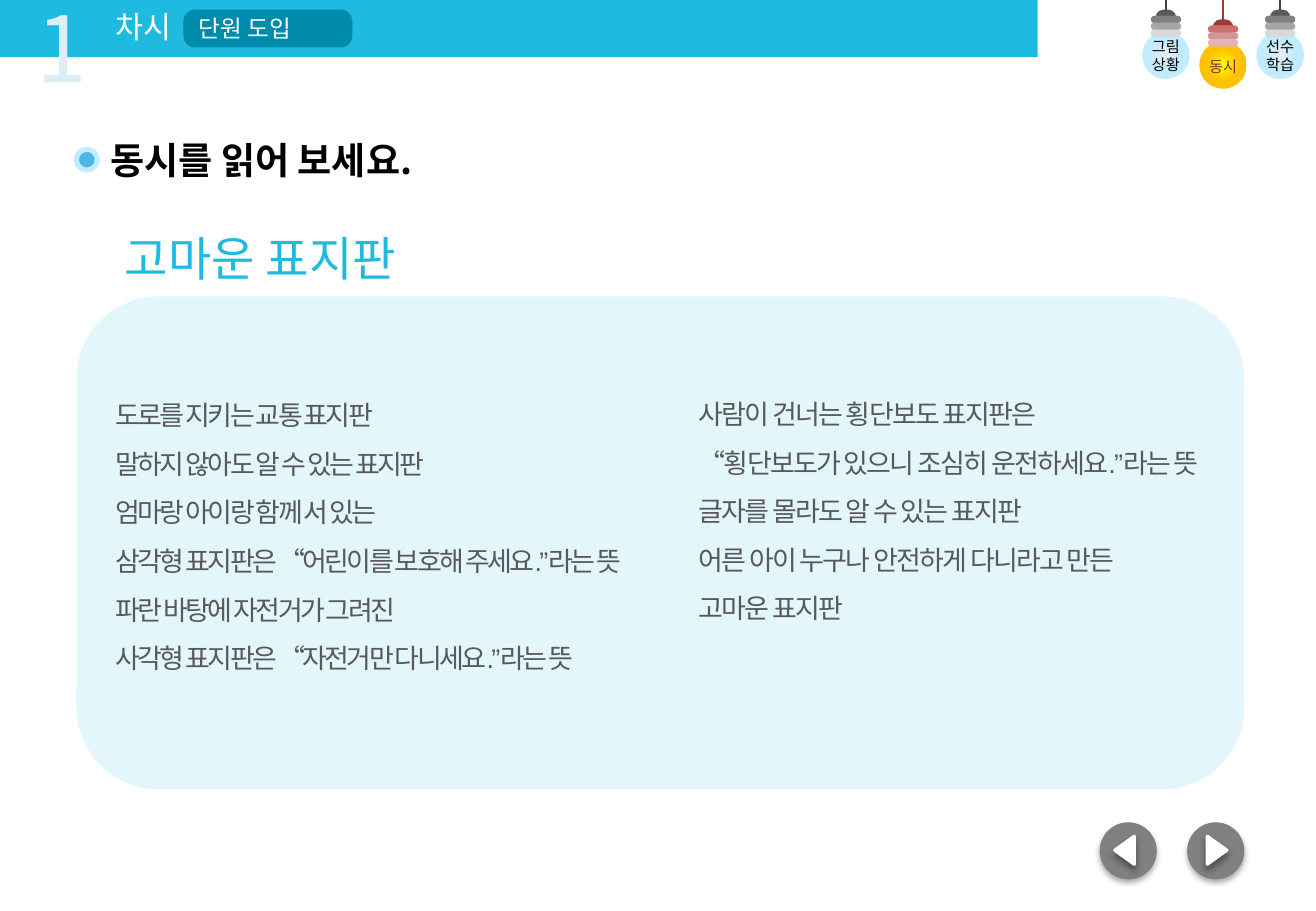
from lxml import etree
from pptx import Presentation
from pptx.dml.color import RGBColor
from pptx.enum import shapes, text
from pptx.oxml import ns
from pptx.util import Inches, Pt

KOREAN = "Noto Sans CJK KR"
SHAPE = shapes.MSO_SHAPE
ALIGN = text.PP_ALIGN
ANCHOR = text.MSO_ANCHOR

COLORS = {
    "sky": "1FBADF", "teal": "008BAD", "pale": "DBEEF4", "panel": "74D5EC",
    "dot": "4CB6E6", "ring": "C1EBFF", "white": "FFFFFF", "black": "000000",
    "gray": "808080", "poem": "595959",
}
OFF_BULB = {"cord": "404040", "cap": "595959", "bands": ["808080", "A6A6A6", "D9D9D9"],
            "glow": ["E9EFF7", "C1EBFF"], "label": "000000"}
LIT_BULB = {"cord": "9D3939", "cap": "9D3939", "bands": ["CB6F6F", "D89494", "E3B3B3"],
            "glow": ["FFFF00", "FFC000"], "label": "7B2D2D"}

POEM_LEFT = [
    "도로를 지키는 교통 표지판",
    "말하지 않아도 알 수 있는 표지판",
    "엄마랑 아이랑 함께 서 있는",
    "삼각형 표지판은 “어린이를 보호해 주세요.”라는 뜻",
    "파란 바탕에 자전거가 그려진",
    "사각형 표지판은 “자전거만 다니세요.”라는 뜻",
]
POEM_RIGHT = [
    "사람이 건너는 횡단보도 표지판은",
    "“횡단보도가 있으니 조심히 운전하세요.”라는 뜻",
    "글자를 몰라도 알 수 있는 표지판",
    "어른 아이 누구나 안전하게 다니라고 만든",
    "고마운 표지판",
]


def rgb(value):
    return RGBColor.from_string(COLORS.get(value, value))


def add_node(parent, tag, **attributes):
    return etree.SubElement(parent, ns.qn(tag), attributes)


def place(shape, left, top, width, height):
    shape.left, shape.top = Inches(left), Inches(top)
    shape.width, shape.height = Inches(width), Inches(height)


def write(shape, lines, size, color, font=KOREAN, bold=False, align=ALIGN.LEFT,
          anchor=ANCHOR.TOP, wrap=True, spacing=1.0, tracking=0):
    """Fill a shape with unbulleted paragraphs that share one format."""
    frame = shape.text_frame
    frame.text = "\n".join(lines)
    frame.word_wrap = wrap
    frame.auto_size = text.MSO_AUTO_SIZE.NONE
    frame.vertical_anchor = anchor
    for para in frame.paragraphs:
        properties = para._p.get_or_add_pPr()
        properties.set("marL", "0")
        properties.set("indent", "0")
        add_node(properties, "a:buNone")
        para.alignment = align
        para.line_spacing = spacing
        para.space_before = Pt(0)
        para.font.size = Pt(size)
        para.font.bold = bold
        para.font.name = font
        para.font.color.rgb = rgb(color)
        character = properties.find(ns.qn("a:defRPr"))
        add_node(character, "a:ea", typeface=KOREAN)
        if tracking:
            character.set("spc", str(int(tracking * 100)))


def add_label(page, box, lines, size, color, **style):
    label = page.shapes.add_textbox(0, 0, 0, 0)
    place(label, *box)
    write(label, lines, size, color, **style)


def add_block(page, kind, box, color, outline=None, weight=0, corner=None):
    block = page.shapes.add_shape(kind, *(Inches(length) for length in box))
    block.shadow.inherit = False
    block.fill.solid()
    block.fill.fore_color.rgb = rgb(color)
    if outline:
        block.line.color.rgb = rgb(outline)
        block.line.width = Pt(weight)
    else:
        block.line.fill.background()
    if corner is not None:
        block.adjustments[0] = corner
    return block


def cast_shadow(shape, opacity, blur, distance):
    effects = shape._element.spPr.find(ns.qn("a:effectLst"))
    shadow = add_node(effects, "a:outerShdw", blurRad=str(Pt(blur)), dist=str(Pt(distance)),
                      dir="5400000", algn="t", rotWithShape="0")
    color = add_node(shadow, "a:srgbClr", val=COLORS["black"])
    add_node(color, "a:alpha", val=str(opacity * 1000))


def glow(shape, inner, outer):
    """Give a shape a radial gradient that ends halfway out."""
    shape.fill.gradient()
    for stop, color, position in zip(shape.fill.gradient_stops, (inner, outer), (0, 0.5)):
        stop.color.rgb = rgb(color)
        stop.position = position
    gradient = shape._element.spPr.find(ns.qn("a:gradFill"))
    gradient.remove(gradient.find(ns.qn("a:lin")))
    radial = add_node(gradient, "a:path", path="circle")
    add_node(radial, "a:fillToRect", l="50000", t="50000", r="50000", b="50000")


def add_cord(page, x, bottom, color):
    cord = page.shapes.add_connector(shapes.MSO_CONNECTOR.STRAIGHT, Inches(x), 0,
                                     Inches(x), Inches(bottom))
    cord.line.color.rgb = rgb(color)
    cord.line.width = Pt(0.75)
    add_node(cord._element.spPr, "a:effectLst")


def add_bulb(page, left, drop, lines, label_top, look):
    middle = left + 0.195
    add_cord(page, middle, 0.1 + drop, look["cord"])
    add_block(page, SHAPE.ROUNDED_RECTANGLE, (left + 0.11, 0.08 + drop, 0.17, 0.13),
              look["cap"], corner=0.5)
    glass = add_block(page, SHAPE.OVAL, (left, 0.26 + drop, 0.39, 0.39), "white")
    glow(glass, *look["glow"])
    for row, color in enumerate(look["bands"]):
        add_block(page, SHAPE.ROUNDED_RECTANGLE,
                  (left + 0.07, 0.13 + drop + 0.057 * row, 0.25, 0.06), color, corner=0.5)
    add_label(page, (middle - 0.27, label_top, 0.54, 0.4), lines, 9, look["label"],
              align=ALIGN.CENTER)


def add_nav_button(page, left, arrow_left, rotation):
    button = add_block(page, SHAPE.OVAL, (left, 6.77, 0.47, 0.47), "gray")
    cast_shadow(button, 32, 3.5, 2.2)
    arrow = add_block(page, SHAPE.ISOSCELES_TRIANGLE, (arrow_left, 6.92, 0.23, 0.16),
                      "white", "white", 2)
    arrow.rotation = rotation
    cast_shadow(arrow, 40, 4, 3)


def add_header(page):
    add_block(page, SHAPE.RECTANGLE, (0, 0, 8.54, 0.47), "sky")
    unit = add_block(page, SHAPE.ROUNDED_RECTANGLE, (1.51, 0.08, 1.39, 0.31), "teal", corner=0.3)
    write(unit, ["단원 도입"], 14, "white", anchor=ANCHOR.MIDDLE)
    add_label(page, (0.18, -0.12, 0.66, 1.01), ["1"], 54, "pale",
              align=ALIGN.CENTER, wrap=False)
    add_label(page, (0.84, 0.02, 0.68, 0.4), ["차시"], 18, "white",
              align=ALIGN.CENTER, wrap=False)


def add_panel(page):
    """Lay the translucent panel behind the poem."""
    panel = add_block(page, SHAPE.ROUNDED_RECTANGLE, (0.63, 2.44, 9.61, 4.06), "panel")
    color = panel._element.spPr.find(ns.qn("a:solidFill"))[0]
    add_node(color, "a:alpha", val="20000")
    page.shapes._spTree.insert(2, panel._element)


def main():
    deck = Presentation()
    deck.slide_width, deck.slide_height = Inches(10.83), Inches(7.5)
    page = deck.slides.add_slide(deck.slide_layouts[3])
    title, left_poem, right_poem = page.placeholders

    add_panel(page)
    add_header(page)
    place(title, 0.81, 1.08, 9.38, 0.47)
    write(title, ["동시를 읽어 보세요."], 22, "black", bold=True)
    add_block(page, SHAPE.OVAL, (0.63, 1.23, 0.17, 0.17), "dot", "ring", 3)
    add_label(page, (0.93, 1.97, 6.54, 0.3), ["고마운 표지판"], 28, "sky", anchor=ANCHOR.MIDDLE)

    place(left_poem, 0.85, 3.09, 4.67, 2.52)
    write(left_poem, POEM_LEFT, 16, "poem", font="Arial", anchor=ANCHOR.MIDDLE,
          spacing=1.5, tracking=-1.5)
    place(right_poem, 5.65, 3.09, 4.72, 2.12)
    write(right_poem, POEM_RIGHT, 16, "poem", font="Arial", spacing=1.5, tracking=-1)

    add_bulb(page, 9.4, 0, ["그림", "상황"], 0.26, OFF_BULB)
    add_bulb(page, 9.87, 0.08, ["동시"], 0.42, LIT_BULB)
    add_bulb(page, 10.34, 0, ["선수", "학습"], 0.26, OFF_BULB)
    add_nav_button(page, 9.05, 9.14, 270)
    add_nav_button(page, 9.77, 9.9, 90)
    deck.save("out.pptx")


if __name__ == "__main__":
    main()
